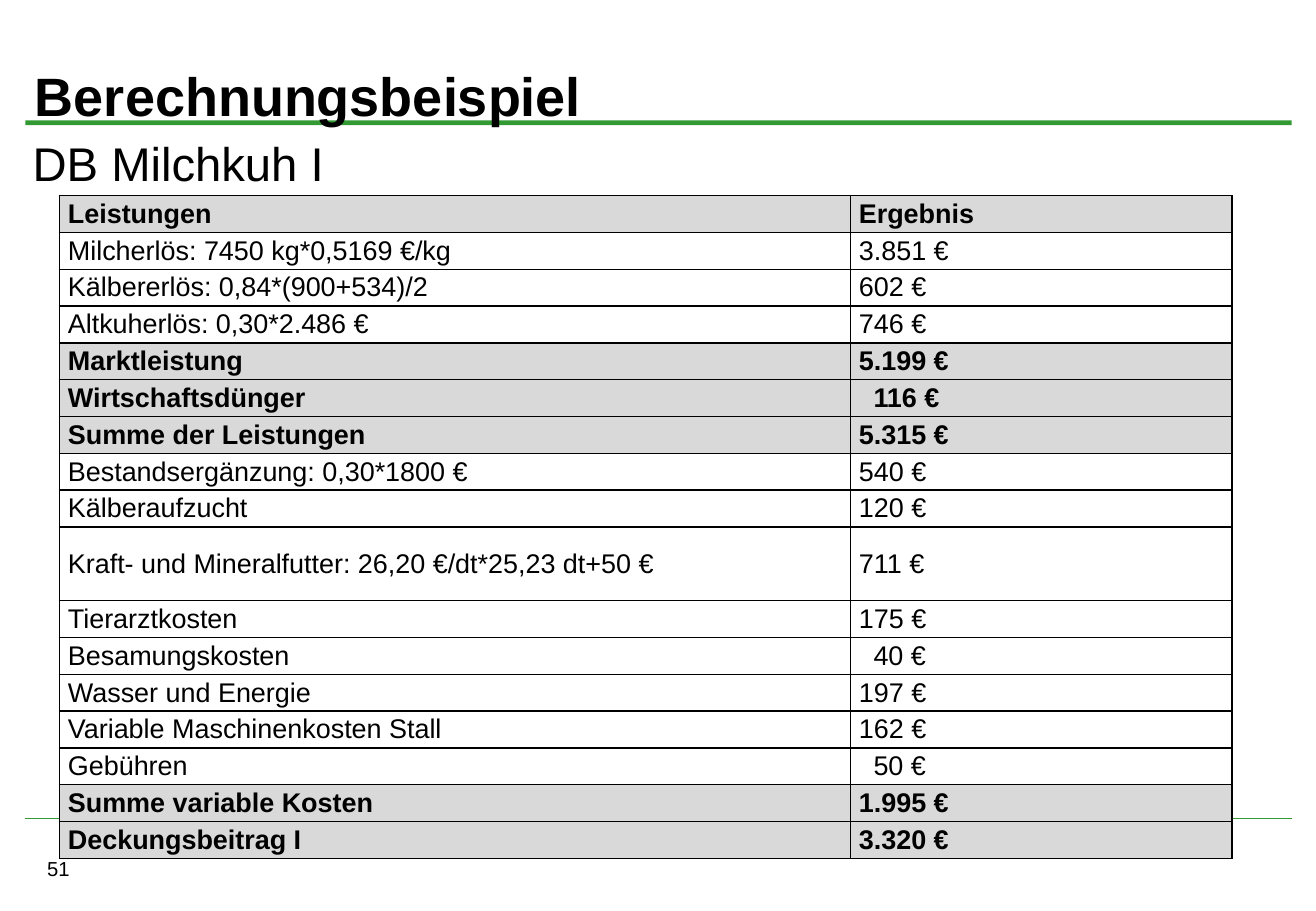
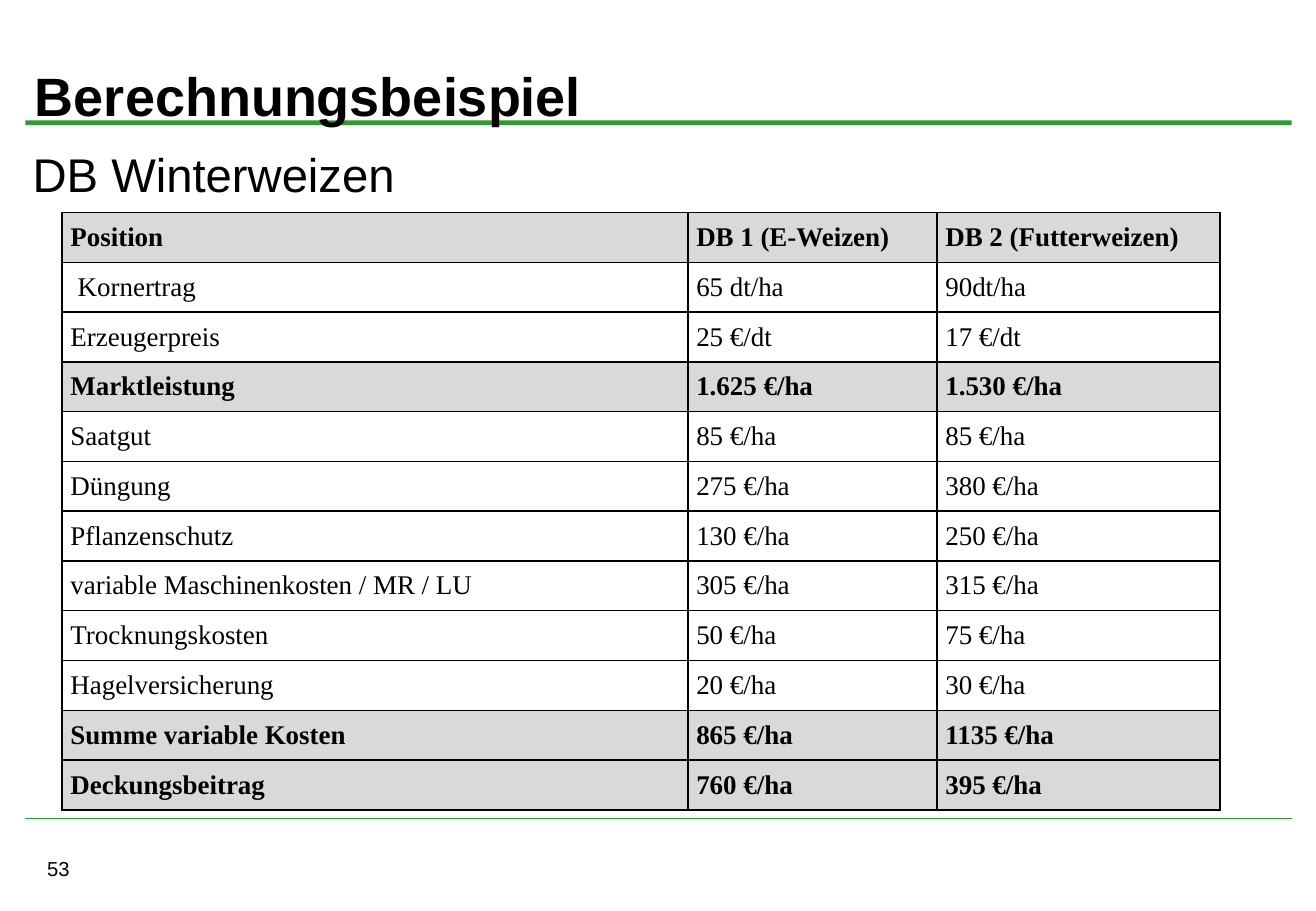
from pptx import Presentation
from pptx import util as u
from pptx.dml.color import RGBColor
from pptx.enum import shapes, text
from pptx.oxml import parse_xml
from pptx.oxml.ns import nsdecls

GREEN = RGBColor(0x33, 0x99, 0x33)
BLACK = RGBColor(0x00, 0x00, 0x00)
GREY = RGBColor(0xD9, 0xD9, 0xD9)

SLIDE_W, SLIDE_H = u.Inches(10.83), u.Inches(7.5)
COL, ROW = SLIDE_W / 100, SLIDE_H / 100

SANS, SERIF = "Arial", "Times New Roman"
TITLE = {"name": SANS, "size": u.Pt(32), "bold": True}
SUBTITLE = {"name": SANS, "size": u.Pt(28), "bold": False}
NUMBER = {"name": SANS, "size": u.Pt(12), "bold": False}

TITLE_BOX = (1.75, 4.67, 96.49, 11.6)
BAND_BOX = (1.94, 13.2, 96.21, 0.53)
FOOT_LINE = (1.94, 89.87, 96.21, 0)
NUMBER_BOX = (2.68, 93.33, 23.55, 4)

MILK = {
    "box": (4.52, 21.47, 89.1, 72.8),
    "font": SANS,
    "cols": (6.51, 3.14),
    "tall": {9: 2},
    "strong": {0, 4, 5, 6, 15, 16},
    "indents": {(5, 1): 0.12, (11, 1): 0.12, (14, 1): 0.12},
    "rows": [
        ("Leistungen", "Ergebnis"),
        ("Milcherlös: 7450 kg*0,5169 €/kg", "3.851 €"),
        ("Kälbererlös: 0,84*(900+534)/2", "602 €"),
        ("Altkuherlös: 0,30*2.486 €", "746 €"),
        ("Marktleistung", "5.199 €"),
        ("Wirtschaftsdünger", "116 €"),
        ("Summe der Leistungen", "5.315 €"),
        ("Bestandsergänzung: 0,30*1800 €", "540 €"),
        ("Kälberaufzucht", "120 €"),
        ("Kraft- und Mineralfutter: 26,20 €/dt*25,23 dt+50 €", "711 €"),
        ("Tierarztkosten", "175 €"),
        ("Besamungskosten", "40 €"),
        ("Wasser und Energie", "197 €"),
        ("Variable Maschinenkosten Stall", "162 €"),
        ("Gebühren", "50 €"),
        ("Summe variable Kosten", "1.995 €"),
        ("Deckungsbeitrag I", "3.320 €"),
    ],
}

WHEAT = {
    "box": (4.71, 23.33, 88, 65.6),
    "font": SERIF,
    "cols": (5.15, 2.05, 2.33),
    "tall": {},
    "strong": {0, 3, 10, 11},
    "indents": {(1, 0): 0.06},
    "rows": [
        ("Position", "DB 1 (E-Weizen)", "DB 2 (Futterweizen)"),
        ("Kornertrag", "65 dt/ha", "90dt/ha"),
        ("Erzeugerpreis", "25 €/dt", "17 €/dt"),
        ("Marktleistung", "1.625 €/ha", "1.530 €/ha"),
        ("Saatgut", "85 €/ha", "85 €/ha"),
        ("Düngung", "275 €/ha", "380 €/ha"),
        ("Pflanzenschutz", "130 €/ha", "250 €/ha"),
        ("variable Maschinenkosten / MR / LU", "305 €/ha", "315 €/ha"),
        ("Trocknungskosten", "50 €/ha", "75 €/ha"),
        ("Hagelversicherung", "20 €/ha", "30 €/ha"),
        ("Summe variable Kosten", "865 €/ha", "1135 €/ha"),
        ("Deckungsbeitrag", "760 €/ha", "395 €/ha"),
    ],
}


def place(box):
    """Turn a box in grid columns and rows into slide lengths."""
    x, y, w, h = box
    return round(x * COL), round(y * ROW), round(w * COL), round(h * ROW)


def write(tf, words, style):
    """Put one formatted paragraph in a text frame and return it."""
    p = tf.paragraphs[0]
    r = p.add_run()
    r.text = words
    for name, value in style.items():
        setattr(r.font, name, value)
    r.font.color.rgb = BLACK
    return p


def add_text(s, box, words, style, anchor=text.MSO_ANCHOR.TOP):
    """Add a wrapped text box."""
    tf = s.shapes.add_textbox(*place(box)).text_frame
    tf.word_wrap = True
    tf.vertical_anchor = anchor
    write(tf, words, style)


def add_frame(s, number):
    """Draw the green band, the foot line, the title and the slide number."""
    band = s.shapes.add_shape(shapes.MSO_SHAPE.RECTANGLE, *place(BAND_BOX))
    band.shadow.inherit = False
    band.fill.solid()
    band.fill.fore_color.rgb = GREEN
    band.line.fill.background()

    x, y, w, h = place(FOOT_LINE)
    foot = s.shapes.add_connector(shapes.MSO_CONNECTOR.STRAIGHT, x, y, x + w, y + h)
    foot.line.color.rgb = GREEN
    foot.line.width = u.Pt(0.75)
    foot._element.spPr.append(parse_xml(f"<a:effectLst {nsdecls('a')}/>"))

    add_text(s, NUMBER_BOX, number, NUMBER)
    add_text(s, TITLE_BOX, "Berechnungsbeispiel", TITLE, text.MSO_ANCHOR.MIDDLE)


def add_borders(cell):
    """Rule all four sides of a cell in black."""
    tc_pr = cell._tc.get_or_add_tcPr()
    for side in "LRTB":
        tc_pr.append(parse_xml(
            f'<a:ln{side} {nsdecls("a")} w="{u.Pt(1)}"><a:solidFill>'
            f'<a:srgbClr val="{BLACK}"/></a:solidFill></a:ln{side}>'))


def fill_cell(cell, words, font, strong, indent):
    """Format one cell; strong cells are bold on grey."""
    layout = {"margin_left": u.Inches(0.07), "margin_right": u.Inches(0.07),
              "margin_top": 0, "margin_bottom": 0,
              "vertical_anchor": text.MSO_ANCHOR.MIDDLE}
    for name, value in layout.items():
        setattr(cell, name, value)
    add_borders(cell)
    if strong:
        cell.fill.solid()
        cell.fill.fore_color.rgb = GREY
    else:
        cell.fill.background()
    p = write(cell.text_frame, words, {"name": font, "size": u.Pt(16), "bold": strong})
    if indent:
        p._p.get_or_add_pPr().set("marL", str(u.Inches(indent)))


def add_budget(s, budget):
    """Add a budget table whose columns and rows share its box by weight."""
    x, y, w, h = place(budget["box"])
    rows, cols = budget["rows"], budget["cols"]
    table = s.shapes.add_table(len(rows), len(cols), x, y, w, h).table
    table.first_row = table.horz_banding = False
    for column, weight in zip(table.columns, cols):
        column.width = round(w * weight / sum(cols))
    heights = [budget["tall"].get(i, 1) for i in range(len(rows))]
    for i, (row, values) in enumerate(zip(table.rows, rows)):
        row.height = round(h * heights[i] / sum(heights))
        for j, words in enumerate(values):
            fill_cell(row.cells[j], words, budget["font"],
                      i in budget["strong"], budget["indents"].get((i, j)))


def add_slide(prs, number, subtitle, top, budget):
    """Build one slide with a subtitle and a budget table."""
    s = prs.slides.add_slide(prs.slide_layouts[6])
    add_frame(s, number)
    add_text(s, (1.57, top, 96.95, 7.5), subtitle, SUBTITLE)
    add_budget(s, budget)


def main():
    """Build and save the presentation."""
    prs = Presentation()
    prs.slide_width, prs.slide_height = SLIDE_W, SLIDE_H
    add_slide(prs, "51", "DB Milchkuh I", 14.13, MILK)
    add_slide(prs, "53", "DB Winterweizen", 15.33, WHEAT)
    prs.save("out.pptx")


if __name__ == "__main__":
    main()
